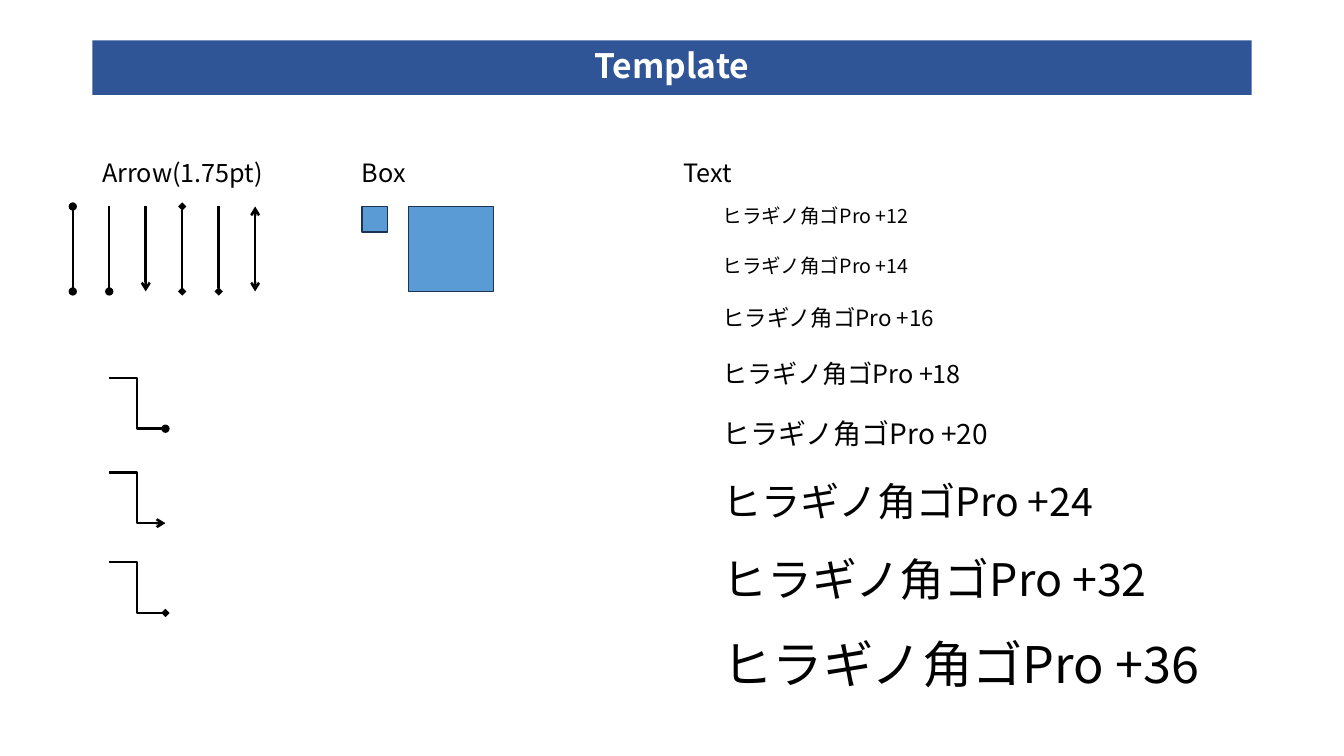
import pptx
import pptx.util
import pptx.dml.color
import pptx.enum.shapes
import pptx.enum.text
import pptx.oxml
import pptx.oxml.ns

Pt = pptx.util.Pt
FONT = "Noto Sans CJK JP"


def colour(value):
    return pptx.dml.color.RGBColor.from_string(value)


def write(frame, text, size, ink):
    span = frame.paragraphs[0].add_run()
    span.text = text
    span.font.size = Pt(size)
    span.font.name = FONT
    span.font.color.rgb = colour(ink)
    east_asian = pptx.oxml.parse_xml(f'<a:ea {pptx.oxml.ns.nsdecls("a")} typeface="{FONT}"/>')
    span.font._element.append(east_asian)
    return span


deck = pptx.Presentation()
deck.slide_width = Pt(960)
deck.slide_height = Pt(540)
page = deck.slides.add_slide(deck.slide_layouts[5])

title = page.shapes.title
title.left, title.top, title.width, title.height = Pt(66), Pt(28.8), Pt(828), Pt(39)
title.fill.solid()
title.fill.fore_color.rgb = colour("2F5597")
frame = title.text_frame
frame.auto_size = pptx.enum.text.MSO_AUTO_SIZE.NONE
frame.vertical_anchor = pptx.enum.text.MSO_ANCHOR.MIDDLE
frame.paragraphs[0].alignment = pptx.enum.text.PP_ALIGN.CENTER
frame.paragraphs[0].line_spacing = 0.9
write(frame, "Template", 24, "FFFFFF").font.bold = True

labels = [
    ("Arrow(1.75pt)", 18, 66, 108.7, 141),
    ("Box", 18, 251.3, 108.7, 49),
    ("Text", 18, 481, 108.7, 54),
]
samples = [
    (12, 14, 141.8, 156),
    (14, 14, 177.8, 156),
    (16, 16, 213.8, 176.5),
    (18, 18, 252.7, 196.5),
    (20, 20, 293.8, 216.7),
    (24, 28, 337.7, 298),
    (32, 32, 390.2, 338.4),
    (36, 36, 448.6, 378.7),
]
for number, size, top, width in samples:
    labels.append((f"ヒラギノ角ゴPro +{number}", size, 509, top, width))

for text, size, left, top, width in labels:
    box = page.shapes.add_textbox(Pt(left), Pt(top), Pt(width), Pt(size * 1.2 + 7.2))
    box.text_frame.word_wrap = False
    box.text_frame.auto_size = pptx.enum.text.MSO_AUTO_SIZE.SHAPE_TO_FIT_TEXT
    write(box.text_frame, text, size, "000000")

for left, side in [(258.5, 18.2), (292, 60.7)]:
    square = page.shapes.add_shape(
        pptx.enum.shapes.MSO_SHAPE.RECTANGLE, Pt(left), Pt(147.5), Pt(side), Pt(side))
    square.shadow.inherit = False
    square.fill.solid()
    square.fill.fore_color.rgb = colour("5B9BD5")
    square.line.color.rgb = colour("1E3256")
    square.line.width = Pt(1)

straight = pptx.enum.shapes.MSO_CONNECTOR.STRAIGHT
elbow = pptx.enum.shapes.MSO_CONNECTOR.ELBOW
arrows = []
vertical_ends = [("oval", "oval"), ("none", "oval"), ("none", "arrow"),
                 ("diamond", "diamond"), ("none", "diamond"), ("arrow", "arrow")]
for index, (head, tail) in enumerate(vertical_ends):
    x = 52 + 26.05 * index
    arrows.append((straight, x, 147.5, x, 208.2, head, tail))
for top, tail in [(270, "oval"), (337.5, "arrow"), (401.6, "diamond")]:
    arrows.append((elbow, 77.9, top, 118.2, top + 36.2, "none", tail))

for kind, x1, y1, x2, y2, head, tail in arrows:
    arrow = page.shapes.add_connector(kind, Pt(x1), Pt(y1), Pt(x2), Pt(y2))
    arrow.line.color.rgb = colour("000000")
    arrow.line.width = Pt(1.75)
    outline = arrow.line._get_or_add_ln()
    for tag, end in [("headEnd", head), ("tailEnd", tail)]:
        outline.append(pptx.oxml.parse_xml(
            f'<a:{tag} {pptx.oxml.ns.nsdecls("a")} type="{end}"/>'))
    arrow._element.spPr.append(
        pptx.oxml.parse_xml(f'<a:effectLst {pptx.oxml.ns.nsdecls("a")}/>'))

deck.save("out.pptx")
